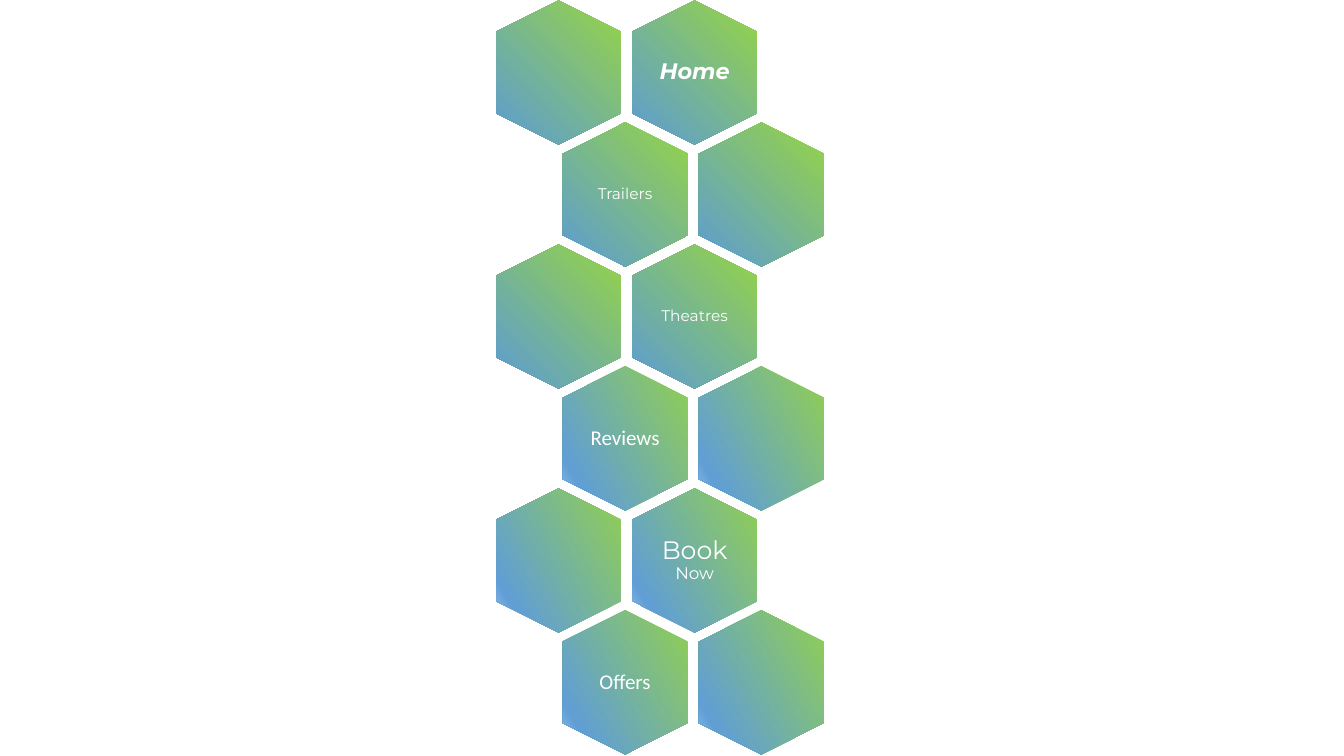
from dataclasses import dataclass

from pptx import Presentation
from pptx.dml.color import RGBColor as Rgb
from pptx.enum.shapes import MSO_SHAPE as Kind
from pptx.enum.text import MSO_ANCHOR as Anchor, PP_ALIGN as Align
from pptx.oxml import parse_xml as to_xml
from pptx.oxml.ns import nsdecls, qn
from pptx.util import Inches, Pt

LEFT, TOP = 5.54, 0.72         # centre of the first cell
COL, ROW, SHIFT = 1.35, 1.21, 0.66
LONG, SHORT = 1.43, 1.24       # hexagon before its quarter turn
BOX_W, BOX_H = 0.86, 0.98


@dataclass(frozen=True)
class Blend:
    """Gradient stops, in percent, and the angle in degrees."""
    stops: tuple[tuple[int, str], ...]
    angle: int


@dataclass(frozen=True)
class Run:
    """Words at one size."""
    text: str
    size: int


@dataclass(frozen=True)
class Label:
    """The text of one cell."""
    runs: tuple[Run, ...]
    pad: float
    font: str = "Montserrat"
    strong: bool = False


@dataclass(frozen=True)
class Band:
    """One row of the comb: its label, the label's column and its fill."""
    label: Label
    col: int
    blend: Blend


STEEP = Blend(((0, "FFFFFF"), (8, "92D050"), (100, "5B9BD5")), 45)
FLAT = Blend(((0, "92D050"), (85, "609ED6"), (100, "9DC3E6")), 60)
BANDS = (
    Band(Label((Run("Home", 16),), 0.07, strong=True), 1, STEEP),
    Band(Label((Run("Trailers", 11),), 0.05), 0, STEEP),
    Band(Label((Run("Theatres", 11),), 0.05), 1, STEEP),
    Band(Label((Run("Reviews", 15),), 0.06, "Calibri"), 0, FLAT),
    Band(Label((Run("Book", 18), Run(" ", 5), Run("Now", 12)), 0.07), 1, FLAT),
    Band(Label((Run("Offers", 15),), 0.06, "Calibri"), 0, FLAT),
)


def color(code: str) -> Rgb:
    """Turn a hex string into a colour."""
    return Rgb.from_string(code)


def frame(x: float, y: float, w: float, h: float) -> tuple:
    """Give left, top, width and height around a centre."""
    return tuple(Inches(n) for n in (x - w / 2, y - h / 2, w, h))


def paint(shape, blend: Blend) -> None:
    """Fill a shape with a blend that turns with it."""
    stops = "".join(
        f'<a:gs pos="{pos * 1000}"><a:srgbClr val="{color(code)}"/></a:gs>'
        for pos, code in blend.stops)
    shape.fill.gradient()
    props = shape.fill._xPr
    props.replace(props.find(qn("a:gradFill")), to_xml(
        f'<a:gradFill {nsdecls("a")} rotWithShape="1"><a:gsLst>{stops}</a:gsLst>'
        f'<a:lin ang="{blend.angle * 60000}" scaled="0"/></a:gradFill>'))


def draw_cell(slide, x: float, y: float, blend: Blend) -> None:
    """Draw one upright hexagon."""
    cell = slide.shapes.add_shape(Kind.HEXAGON, *frame(x, y, LONG, SHORT))
    cell.rotation = 90
    cell.adjustments[0] = 0.25
    cell.adjustments[1] = 1.15
    cell.shadow.inherit = False
    cell.line.fill.background()
    paint(cell, blend)


def draw_label(slide, x: float, y: float, label: Label) -> None:
    """Write a label in the middle of its cell."""
    text = slide.shapes.add_textbox(*frame(x, y, BOX_W, BOX_H)).text_frame
    text.word_wrap = True
    text.vertical_anchor = Anchor.MIDDLE
    text.margin_left = text.margin_right = Inches(label.pad)
    text.margin_top = text.margin_bottom = Inches(label.pad)
    para = text.paragraphs[0]
    para.alignment = Align.CENTER
    para.line_spacing = 0.9
    for part in label.runs:
        run = para.add_run()
        run.text = part.text
        font = run.font
        font.name, font.size = label.font, Pt(part.size)
        font.bold = font.italic = label.strong
        font.color.rgb = color("FFFFFF")


def main() -> None:
    """Build the comb and save it."""
    deck = Presentation()
    deck.slide_width, deck.slide_height = Inches(13.33), Inches(7.5)
    slide = deck.slides.add_slide(deck.slide_layouts[6])
    for row, band in enumerate(BANDS):
        y = TOP + row * ROW
        for col in range(2):
            x = LEFT + col * COL + row % 2 * SHIFT
            draw_cell(slide, x, y, band.blend)
            if col == band.col:
                draw_label(slide, x, y, band.label)
    deck.save("out.pptx")


main()
